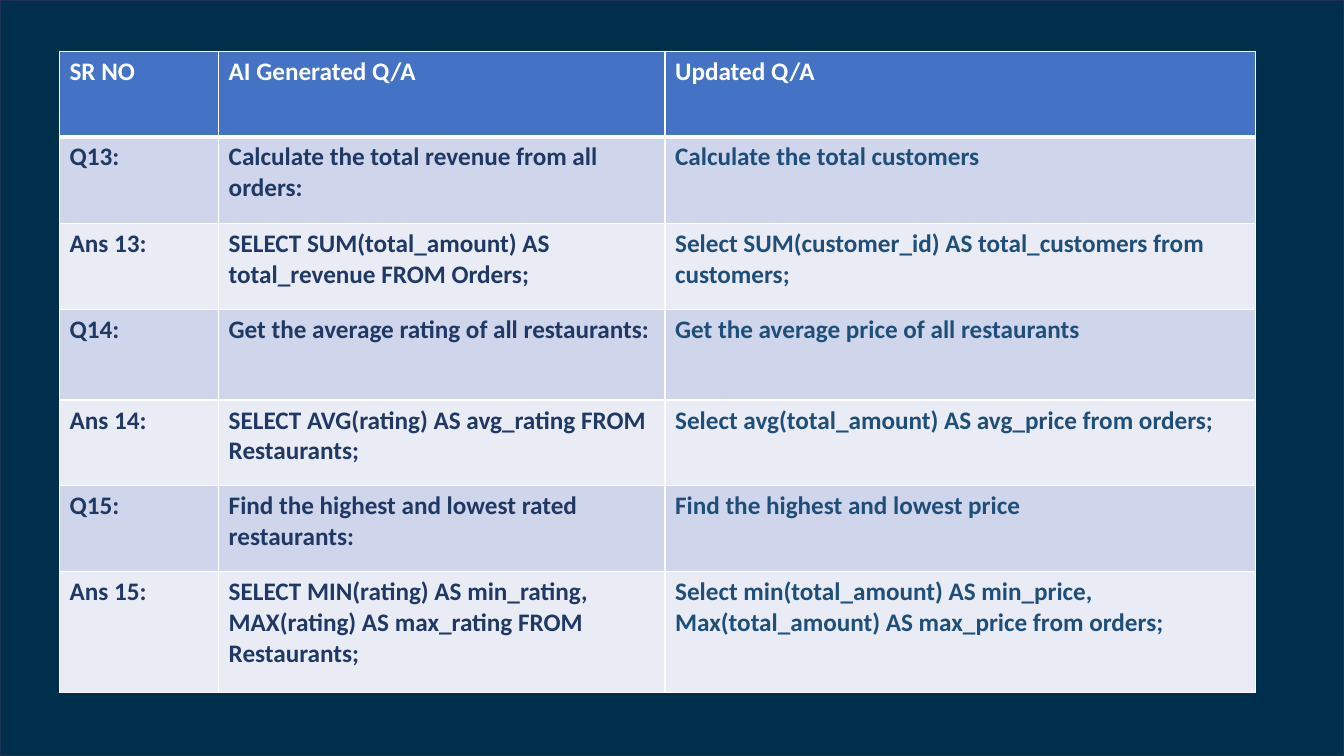
from dataclasses import dataclass

from lxml.etree import SubElement
from pptx import Presentation
from pptx.dml.color import RGBColor
from pptx.enum.shapes import MSO_SHAPE as Shape
from pptx.oxml.ns import qn
from pptx.util import Cm, Pt


@dataclass(frozen=True)
class Theme:
    font: str = "Calibri"
    text_size: int = 18
    backdrop: str = "002F4B"
    backdrop_line: str = "1E3256"
    header_fill: str = "4472C4"
    band_fills: tuple = ("CFD5EA", "E9EBF5")
    header_text: str = "FFFFFF"
    column_texts: tuple = ("203864", "203864", "1F4E79")
    border: str = "FFFFFF"
    border_width: int = 1
    header_rule_width: int = 3


SLIDE_WIDTH, SLIDE_HEIGHT = Cm(33.87), Cm(19.05)
COLUMN_WIDTHS = (4.01, 11.25, 14.88)
ROW_HEIGHTS = (2.16, 2.18, 2.16, 2.29, 2.16, 2.16, 3.05)
ROWS = (
    ("SR NO", "AI Generated Q/A", "Updated Q/A"),
    ("Q13:", "Calculate the total revenue from all orders:",
     "Calculate the total customers"),
    ("Ans 13:", "SELECT SUM(total_amount) AS total_revenue FROM Orders;",
     "Select SUM(customer_id) AS total_customers from customers;"),
    ("Q14:", "Get the average rating of all restaurants:",
     "Get the average price of all restaurants"),
    ("Ans 14:", "SELECT AVG(rating) AS avg_rating FROM Restaurants;",
     "Select avg(total_amount) AS avg_price from orders;"),
    ("Q15:", "Find the highest and lowest rated restaurants:",
     "Find the highest and lowest price"),
    ("Ans 15:", "SELECT MIN(rating) AS min_rating, MAX(rating) AS max_rating FROM Restaurants;",
     "Select min(total_amount) AS min_price, Max(total_amount) AS max_price from orders;"),
)


class SlideBuilder:
    def __init__(self, slide, theme):
        self.slide = slide
        self.theme = theme

    def backdrop(self, width, height):
        shape = self.slide.shapes.add_shape(Shape.RECTANGLE, 0, 0, width, height)
        shape.shadow.inherit = False
        shape.fill.solid()
        shape.fill.fore_color.rgb = RGBColor.from_string(self.theme.backdrop)
        shape.line.color.rgb = RGBColor.from_string(self.theme.backdrop_line)
        shape.line.width = Pt(1)

    def table(self, left, top, rows, column_widths, row_heights):
        table = self.slide.shapes.add_table(
            len(rows), len(column_widths), Cm(left), Cm(top),
            Cm(sum(column_widths)), Cm(sum(row_heights))).table
        for column, width in zip(table.columns, column_widths):
            column.width = Cm(width)
        for row, height in zip(table.rows, row_heights):
            row.height = Cm(height)
        for row_index, texts in enumerate(rows):
            for column_index, text in enumerate(texts):
                self.cell(table.cell(row_index, column_index), text, row_index, column_index)

    def cell(self, cell, text, row_index, column_index):
        theme = self.theme
        if row_index == 0:
            fill, color = theme.header_fill, theme.header_text
        else:
            fill = theme.band_fills[(row_index - 1) % 2]
            color = theme.column_texts[column_index]
        # The rule under the header is heavier than the other borders
        top = theme.header_rule_width if row_index == 1 else theme.border_width
        bottom = theme.header_rule_width if row_index == 0 else theme.border_width
        self.borders(cell, L=theme.border_width, R=theme.border_width, T=top, B=bottom)
        cell.fill.solid()
        cell.fill.fore_color.rgb = RGBColor.from_string(fill)
        cell.text = text
        font = cell.text_frame.paragraphs[0].font
        font.name, font.size, font.bold = theme.font, Pt(theme.text_size), True
        font.color.rgb = RGBColor.from_string(color)

    def borders(self, cell, **widths):
        properties = cell._tc.get_or_add_tcPr()
        for side, width in widths.items():
            line = SubElement(properties, qn(f"a:ln{side}"), w=str(Pt(width)))
            solid = SubElement(line, qn("a:solidFill"))
            SubElement(solid, qn("a:srgbClr"), val=self.theme.border)


def main():
    presentation = Presentation()
    presentation.slide_width, presentation.slide_height = SLIDE_WIDTH, SLIDE_HEIGHT
    blank_layout = presentation.slide_layouts[6]
    builder = SlideBuilder(presentation.slides.add_slide(blank_layout), Theme())

    # Dark backdrop
    builder.backdrop(SLIDE_WIDTH, SLIDE_HEIGHT)

    # Question and answer comparison
    builder.table(1.5, 1.29, ROWS, COLUMN_WIDTHS, ROW_HEIGHTS)

    presentation.save("out.pptx")


if __name__ == "__main__":
    main()
